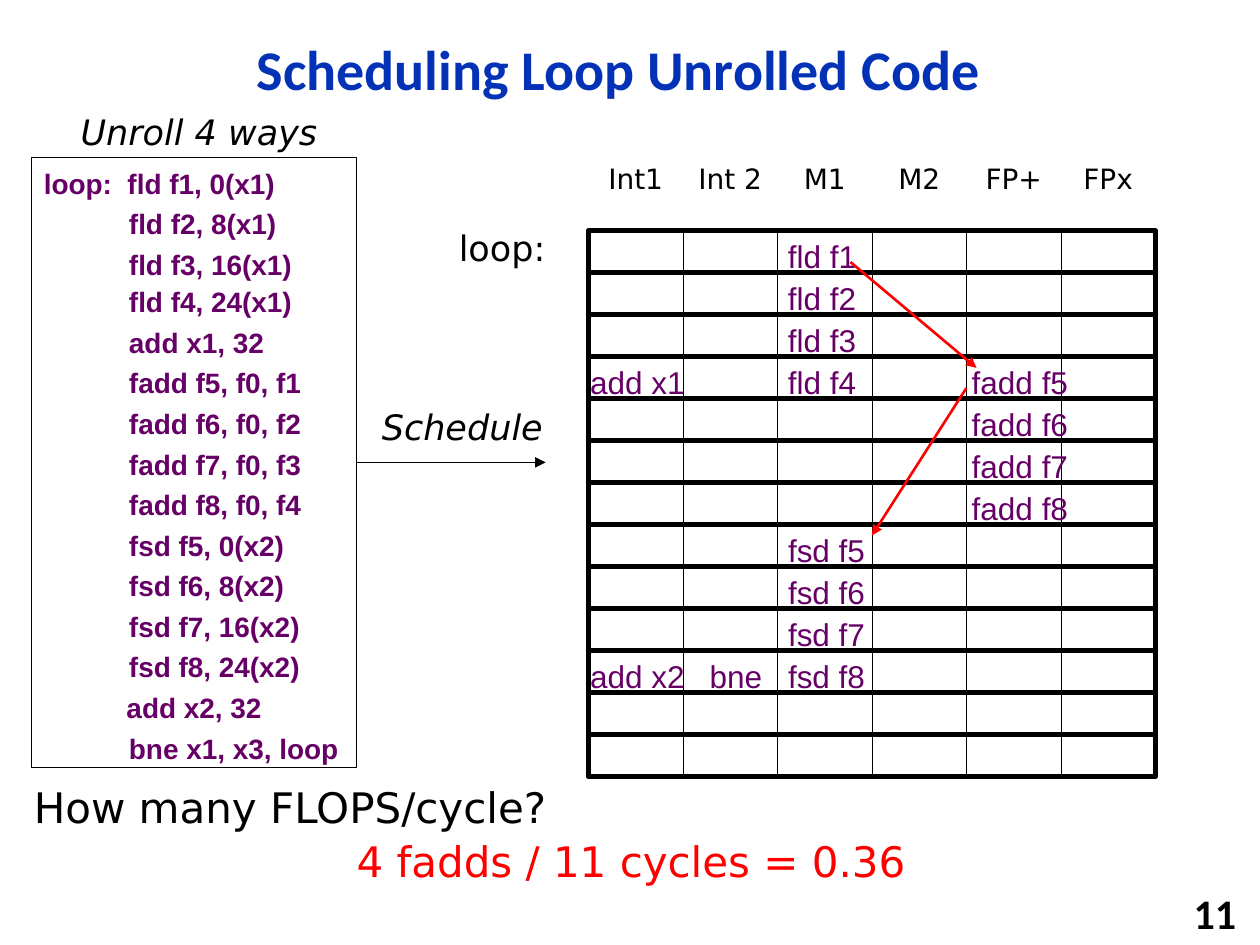
from lxml import etree
from pptx import Presentation
from pptx.dml.color import RGBColor
from pptx.enum.shapes import MSO_CONNECTOR, MSO_SHAPE
from pptx.enum.text import MSO_ANCHOR, PP_ALIGN
from pptx.oxml.ns import qn
from pptx.util import Inches, Pt

BLACK, RED, PURPLE, BLUE = "000000", "FF0000", "660066", "0332B7"
COLUMNS = ["Int1", "Int 2", "M1", "M2", "FP+", "FPx"]
ROW_COUNT = 13
GRID_LEFT, GRID_TOP = 4.67, 1.83
CELL_WIDTH, ROW_HEIGHT = 0.75, 1 / 3

deck = Presentation()
deck.slide_width, deck.slide_height = Inches(10), Inches(7.5)
page = deck.slides.add_slide(deck.slide_layouts[5])


def color(hex_string):
    return RGBColor.from_string(hex_string)


def write(shape, lines, size, font, hex_string, align=PP_ALIGN.CENTER,
          bold=False, italic=False, wrap=False, anchor=MSO_ANCHOR.MIDDLE):
    frame = shape.text_frame
    frame.word_wrap = wrap
    frame.vertical_anchor = anchor
    for index, line in enumerate(lines):
        para = frame.add_paragraph() if index else frame.paragraphs[0]
        para.alignment = align
        if index:
            para.space_before = Pt(4)
        span = para.add_run()
        span.text = line
        span.font.size, span.font.name = Pt(size), font
        span.font.bold, span.font.italic = bold, italic
        span.font.color.rgb = color(hex_string)
    return frame


# Title
title = page.shapes.title
title.left, title.top = Inches(0.92), Inches(0.17)
title.width, title.height = Inches(7.98), Inches(0.81)
frame = write(title, ["Scheduling Loop Unrolled Code"], 32, "Calibri", BLUE,
              bold=True, wrap=True)
frame.paragraphs[0].line_spacing = 0.9

# Unrolled code
code_box = page.shapes.add_shape(MSO_SHAPE.RECTANGLE, Inches(0.25), Inches(1.25),
                                 Inches(2.58), Inches(4.84))
code_box.shadow.inherit = False
code_box.fill.background()
code_box.line.color.rgb = color(BLACK)
code_box.line.width = Pt(0.25)
INDENT = " " * 11
body = ["fld f2, 8(x1)", "fld f3, 16(x1)", "fld f4, 24(x1)", "add x1, 32",
        "fadd f5, f0, f1", "fadd f6, f0, f2", "fadd f7, f0, f3", "fadd f8, f0, f4",
        "fsd f5, 0(x2)", "fsd f6, 8(x2)", "fsd f7, 16(x2)", "fsd f8, 24(x2)",
        "add x2, 32", "bne x1, x3, loop"]
code = ["loop:  fld f1, 0(x1)"]
code += [line if line == "add x2, 32" else INDENT + line for line in body]
frame = write(code_box, code, 16, "Arial", PURPLE, PP_ALIGN.LEFT, bold=True, wrap=True)
frame.margin_top = Inches(0.1)
frame.paragraphs[3].line_spacing = 0.9
frame.paragraphs[13].alignment = PP_ALIGN.CENTER

# Schedule grid: thin cells inside a thick frame for each cycle
for row in range(ROW_COUNT):
    top = GRID_TOP + row * ROW_HEIGHT
    cells = [(GRID_LEFT + i * CELL_WIDTH, CELL_WIDTH, 0.25) for i in range(len(COLUMNS))]
    cycle = page.shapes.add_group_shape()
    for left, width, weight in cells + [(GRID_LEFT, CELL_WIDTH * len(COLUMNS), 3)]:
        cell = cycle.shapes.add_shape(MSO_SHAPE.RECTANGLE, Inches(left), Inches(top),
                                      Inches(width), Inches(ROW_HEIGHT))
        cell.shadow.inherit = False
        cell.fill.background()
        cell.line.color.rgb = color(BLACK)
        cell.line.width = Pt(weight)

# Column headings
for i, heading in enumerate(COLUMNS):
    box = page.shapes.add_textbox(Inches(GRID_LEFT + i * CELL_WIDTH), Inches(1.25),
                                  Inches(CELL_WIDTH), Inches(0.33))
    write(box, [heading], 16, "DejaVu Sans", BLACK)

# Scheduled instructions: left, width, first row, texts in successive rows
for left, width, first_row, instructions in [
    (6.15, 0.75, 0, ["fld f1", "fld f2", "fld f3", "fld f4"]),
    (4.58, 0.96, 3, ["add x1"]),
    (7.61, 0.97, 3, ["fadd f5", "fadd f6", "fadd f7", "fadd f8"]),
    (6.15, 0.82, 7, ["fsd f5", "fsd f6", "fsd f7", "fsd f8"]),
    (4.58, 0.96, 10, ["add x2"]),
    (5.53, 0.62, 10, ["bne"]),
]:
    for row, instruction in enumerate(instructions, first_row):
        box = page.shapes.add_textbox(Inches(left), Inches(GRID_TOP + row * ROW_HEIGHT),
                                      Inches(width), Inches(0.4))
        write(box, [instruction], 18, "Arial", PURPLE, anchor=MSO_ANCHOR.TOP)

# Captions, question and answer, page number
for text, left, top, width, height, size, font, ink, align, bold, italic in [
    ("Unroll 4 ways", 0.53, 0.83, 2.1, 0.43, 20, "DejaVu Sans", BLACK,
     PP_ALIGN.CENTER, False, True),
    ("Schedule", 2.92, 3.17, 1.5, 0.43, 20, "DejaVu Sans", BLACK,
     PP_ALIGN.CENTER, False, True),
    ("loop:", 3.53, 1.75, 0.91, 0.43, 20, "DejaVu Sans", BLACK,
     PP_ALIGN.CENTER, False, False),
    ("How many FLOPS/cycle?", 0.17, 6.17, 8.08, 0.46, 24, "DejaVu Sans", BLACK,
     PP_ALIGN.LEFT, False, False),
    ("4 fadds / 11 cycles = 0.36", 2.69, 6.58, 4.64, 0.5, 24, "DejaVu Sans", RED,
     PP_ALIGN.CENTER, False, False),
    ("11", 7.83, 7.08, 2.08, 0.32, 24, "Calibri", BLACK,
     PP_ALIGN.RIGHT, True, False),
]:
    box = page.shapes.add_textbox(Inches(left), Inches(top), Inches(width), Inches(height))
    write(box, [text], size, font, ink, align, bold, italic, wrap=True)

# Arrows: schedule step, then the two dependences
for x1, y1, x2, y2, ink, weight, source in [
    (2.83, 3.67, 4.33, 3.67, BLACK, 0.25, code_box),
    (6.75, 2.08, 7.75, 2.92, RED, 1.5, None),
    (7.67, 3.08, 6.92, 4.25, RED, 1.5, None),
]:
    arrow = page.shapes.add_connector(MSO_CONNECTOR.STRAIGHT, Inches(x1), Inches(y1),
                                      Inches(x2), Inches(y2))
    if source is not None:
        arrow.begin_connect(source, 3)
    arrow.line.color.rgb = color(ink)
    arrow.line.width = Pt(weight)
    etree.SubElement(arrow.line._get_or_add_ln(), qn("a:tailEnd"), type="triangle")
    etree.SubElement(arrow._element.spPr, qn("a:effectLst"))

deck.save("out.pptx")
